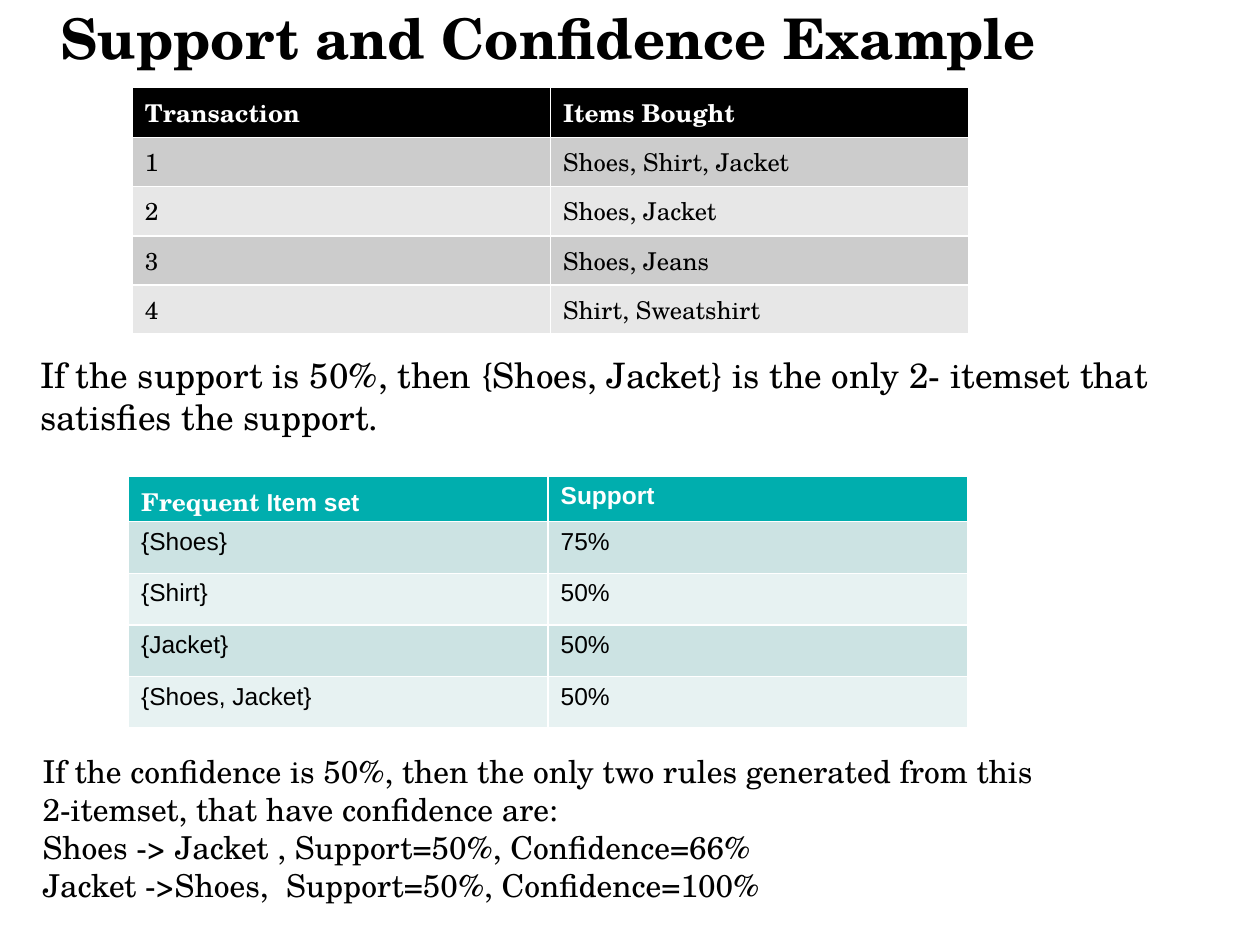
from pptx import Presentation
from pptx.dml.color import RGBColor
from pptx.enum.text import MSO_ANCHOR, MSO_AUTO_SIZE, PP_ALIGN
from pptx.util import Inches, Pt

TITLE_ONLY_LAYOUT = 5
LEFT, BOTTOM = PP_ALIGN.LEFT, MSO_ANCHOR.BOTTOM
NO_AUTOFIT = MSO_AUTO_SIZE.NONE

THEME = {
    "serif": "TeX Gyre Schola",
    "sans": "Arial",
    "title": 32,
    "title_line": 36,
    "cell": 14,
    "text": "000000",
    "header_text": "FFFFFF",
}

# Content: a cell is a list of (text, font) runs or plain text in the table's font
TITLE = "Support and Confidence Example"

TABLES = [
    {
        "at": (1.05, 0.69), "col": 3.32, "header_row": 0.39, "row": 0.39,
        "font": THEME["serif"],
        "header_fill": "000000", "bands": ("CCCCCC", "E7E7E7"),
        "cells": [
            ("Transaction", "Items Bought"),
            ("1", "Shoes, Shirt, Jacket"),
            ("2", "Shoes, Jacket"),
            ("3", "Shoes, Jeans"),
            ("4", "Shirt, Sweatshirt"),
        ],
    },
    {
        "at": (1.02, 3.78), "col": 3.33, "header_row": 0.36, "row": 0.41,
        "font": THEME["sans"],
        "header_fill": "00AEAE", "bands": ("CCE3E3", "E7F2F2"),
        "cells": [
            ([("Frequent", THEME["serif"]), (" Item set", THEME["sans"])], "Support"),
            ("{Shoes}", "75%"),
            ("{Shirt}", "50%"),
            ("{Jacket}", "50%"),
            ("{Shoes, Jacket}", "50%"),
        ],
    },
]

NOTES = [
    {
        "at": (0.22, 2.76, 9.57, 0.77), "size": 20,
        "lines": ["If the support is 50%, then {Shoes, Jacket} is the only 2- itemset "
                  "that satisfies the support."],
    },
    {
        "at": (0.24, 5.92, 9.56, 1.31), "size": 18,
        "lines": [
            "If the confidence is 50%, then the only two rules generated from this",
            "2-itemset, that have confidence are:",
            "Shoes -> Jacket , Support=50%, Confidence=66%",
            "Jacket ->Shoes,  Support=50%, Confidence=100%",
        ],
    },
]


def style_run(run, font, size, color, bold=False):
    run.font.name = font
    run.font.size = Pt(size)
    run.font.bold = bold
    run.font.color.rgb = RGBColor.from_string(color)


def add_title(slide):
    title = slide.shapes.title
    title.left, title.top, title.width, title.height = map(Inches, (0.38, 0.03, 9.06, 0.58))
    frame = title.text_frame
    frame.text = TITLE
    frame.auto_size = NO_AUTOFIT
    frame.vertical_anchor = BOTTOM
    paragraph = frame.paragraphs[0]
    paragraph.alignment = LEFT
    paragraph.line_spacing = Pt(THEME["title_line"])
    style_run(paragraph.runs[0], THEME["serif"], THEME["title"], THEME["text"], bold=True)


def fill_cell(cell, content, font, fill, is_header):
    cell.fill.solid()
    cell.fill.fore_color.rgb = RGBColor.from_string(fill)
    pieces = [(content, font)] if isinstance(content, str) else content
    color = THEME["header_text"] if is_header else THEME["text"]
    for text, piece_font in pieces:
        run = cell.text_frame.paragraphs[0].add_run()
        run.text = text
        style_run(run, piece_font, THEME["cell"], color, bold=is_header)


def add_data_table(slide, data):
    cells = data["cells"]
    row_count, col_count = len(cells), len(cells[0])
    heights = [data["header_row"]] + [data["row"]] * (row_count - 1)
    left, top = data["at"]
    table = slide.shapes.add_table(
        row_count, col_count, Inches(left), Inches(top),
        Inches(data["col"] * col_count), Inches(sum(heights))).table
    for column in table.columns:
        column.width = Inches(data["col"])
    for r, row in enumerate(cells):
        table.rows[r].height = Inches(heights[r])
        fill = data["bands"][(r - 1) % 2] if r else data["header_fill"]
        for c, content in enumerate(row):
            fill_cell(table.cell(r, c), content, data["font"], fill, r == 0)


def add_note(slide, note):
    frame = slide.shapes.add_textbox(*map(Inches, note["at"])).text_frame
    frame.word_wrap = True
    frame.text = "\n".join(note["lines"])
    for paragraph in frame.paragraphs:
        style_run(paragraph.runs[0], THEME["serif"], note["size"], THEME["text"])


def main():
    deck = Presentation()
    deck.slide_width, deck.slide_height = Inches(10), Inches(7.5)
    slide = deck.slides.add_slide(deck.slide_layouts[TITLE_ONLY_LAYOUT])

    add_title(slide)
    # Each table is followed by the conclusion drawn from it
    for data, note in zip(TABLES, NOTES):
        add_data_table(slide, data)
        add_note(slide, note)

    deck.save("out.pptx")


if __name__ == "__main__":
    main()
